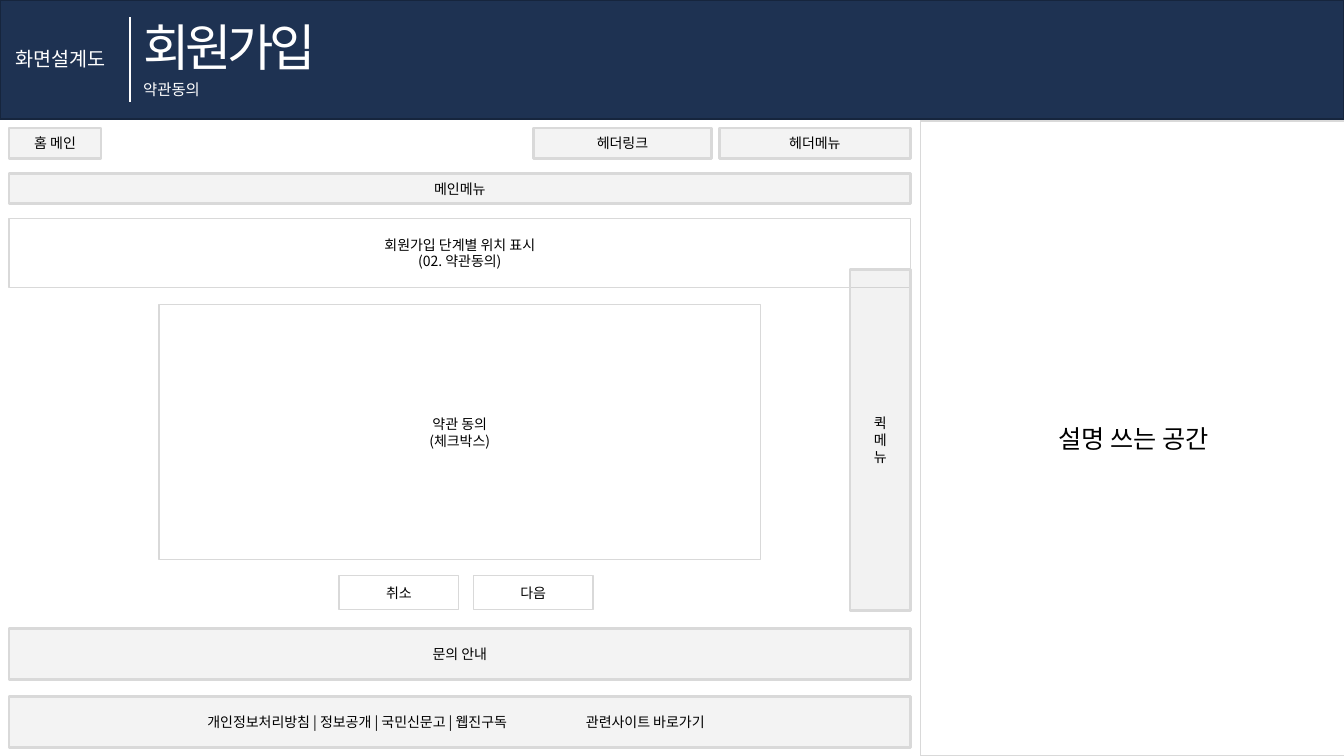
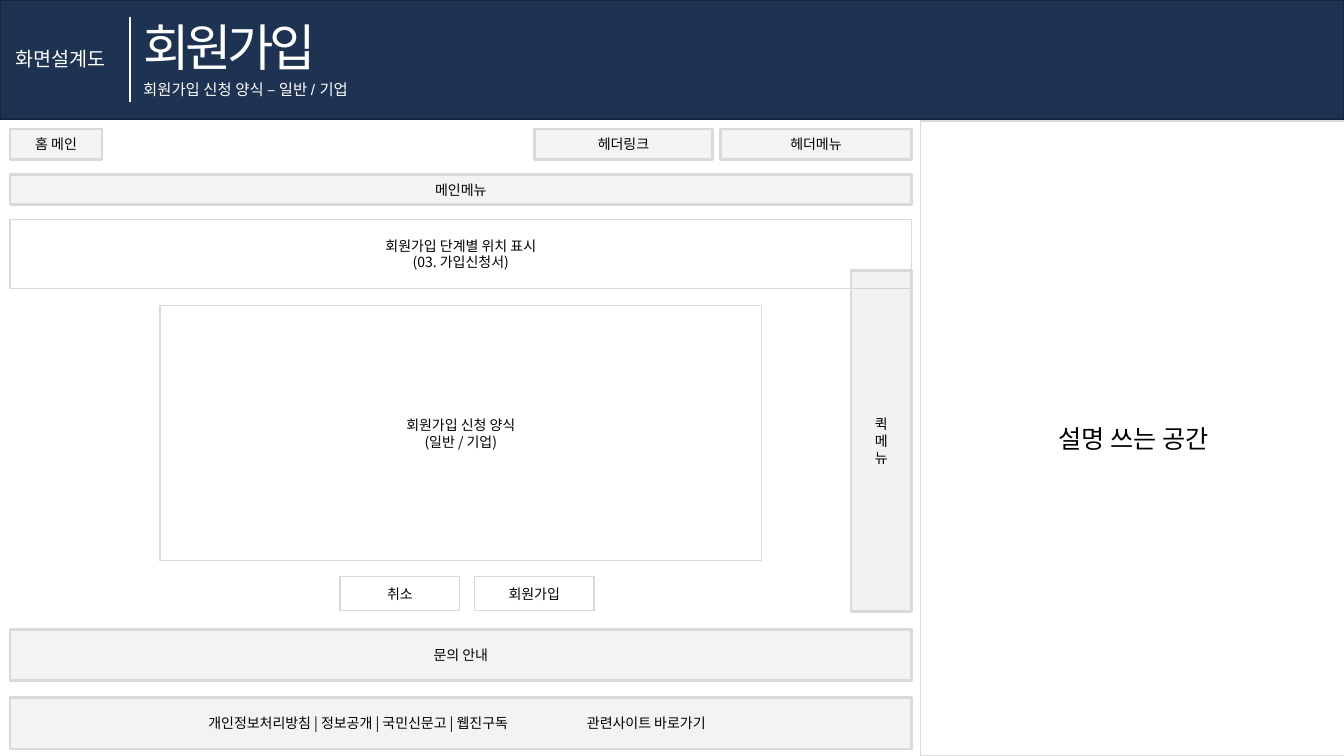
from dataclasses import dataclass

from lxml.etree import SubElement
from pptx import Presentation
from pptx.dml.color import RGBColor
from pptx.enum.shapes import MSO_CONNECTOR, MSO_SHAPE
from pptx.enum.text import MSO_ANCHOR, MSO_AUTO_SIZE, PP_ALIGN
from pptx.oxml.ns import qn
from pptx.util import Inches, Pt


@dataclass(frozen=True)
class Theme:
    """Colours, fonts and type sizes shared by every slide."""
    navy: str = "1E3252"
    navy_edge: str = "16253D"
    white: str = "FFFFFF"
    black: str = "000000"
    grey: str = "D9D9D9"
    dark_grey: str = "BFBFBF"
    font: str = "Noto Sans CJK KR"
    latin_font: str = "Arial"
    title_size: int = 36
    panel_size: int = 18
    label_size: int = 14
    subtitle_size: int = 11
    block_size: int = 10
    thin: float = 1
    rule: float = 1.5
    thick: float = 2


@dataclass(frozen=True)
class Box:
    """A rectangle in inches."""
    left: float
    top: float
    width: float
    height: float

    def portion(self, left, top, width, height):
        """Return a box given in percent of this one."""
        return Box(self.left + self.width * left / 100, self.top + self.height * top / 100,
                   self.width * width / 100, self.height * height / 100)

    def lengths(self):
        """Return left, top, width and height as slide lengths."""
        return [Inches(value) for value in (self.left, self.top, self.width, self.height)]


THEME = Theme()
SLIDE = Box(0, 0, 13.33, 7.5)
BAND = Box(0, 0, 13.33, 1.18)
PANEL = SLIDE.portion(68.5, 16, 31.65, 84)
WIREFRAME = Box(0.09, 1.27, 8.94, 6.15)


def format_text(shape, text, size, color, align, anchor, latin=THEME.font, spacing=None):
    """Fill a shape with text and format its paragraphs and runs."""
    frame = shape.text_frame
    frame.text = text
    frame.word_wrap = True
    frame.auto_size = MSO_AUTO_SIZE.NONE
    frame.vertical_anchor = anchor
    for paragraph in frame.paragraphs:
        paragraph.alignment = align
        paragraph.space_before = Pt(0)
        for run in paragraph.runs:
            run.font.size = Pt(size)
            run.font.name = latin
            run.font.color.rgb = RGBColor.from_string(color)
            properties = run.font._element
            SubElement(properties, qn("a:ea")).set("typeface", THEME.font)
            if spacing:
                properties.set("spc", str(spacing * 100))


def add_rectangle(shapes, box, fill, line, width, opacity=100):
    """Add a flat rectangle, see-through when the opacity is below 100."""
    shape = shapes.add_shape(MSO_SHAPE.RECTANGLE, *box.lengths())
    shape.shadow.inherit = False
    shape.fill.solid()
    shape.fill.fore_color.rgb = RGBColor.from_string(fill)
    if opacity < 100:
        color = next(shape.element.iter(qn("a:srgbClr")))
        SubElement(color, qn("a:alpha")).set("val", str(opacity * 1000))
    shape.line.color.rgb = RGBColor.from_string(line)
    shape.line.width = Pt(width)
    return shape


def add_block(shapes, box, text, fill=THEME.white, opacity=100, size=THEME.block_size):
    """Add a wireframe block with centred text; see-through blocks have thick edges."""
    width = THEME.thick if opacity < 100 else THEME.thin
    shape = add_rectangle(shapes, box, fill, THEME.grey, width, opacity)
    format_text(shape, text, size, THEME.black, PP_ALIGN.CENTER, MSO_ANCHOR.MIDDLE)
    return shape


def place(shape, box):
    """Move a placeholder into a box."""
    shape.left, shape.top, shape.width, shape.height = box.lengths()


def build_band(slide, box, title, subtitle):
    """Build the title band with its label, rule, title and subtitle."""
    band = add_rectangle(slide.shapes, box, THEME.navy, THEME.navy_edge, THEME.thin)
    slide.shapes.element.insert(2, band.element)
    left_top = (PP_ALIGN.LEFT, MSO_ANCHOR.TOP)

    heading = slide.shapes.title
    place(heading, box.portion(9.9, 9.3, 15.4, 60.2))
    format_text(heading, title, THEME.title_size, THEME.white, *left_top, spacing=-3)

    label = slide.shapes.add_textbox(*box.portion(0.4, 35.6, 8.85, 28.8).lengths())
    format_text(label, "화면설계도", THEME.label_size, THEME.white, *left_top)

    left, top, _, height = box.portion(9.68, 14.4, 0, 71.2).lengths()
    rule = slide.shapes.add_connector(MSO_CONNECTOR.STRAIGHT, left, top, left, top + height)
    rule.line.color.rgb = RGBColor.from_string(THEME.white)
    rule.line.width = Pt(THEME.rule)
    SubElement(rule.element.spPr, qn("a:effectLst"))

    body = slide.placeholders[1]
    place(body, box.portion(9.9, 62.7, 18.1, 24.6))
    format_text(body, subtitle, THEME.subtitle_size, THEME.white, *left_top, THEME.latin_font)
    properties = body.text_frame.paragraphs[0]._p.get_or_add_pPr()
    properties.set("marL", "0")
    properties.set("indent", "0")
    SubElement(properties, qn("a:buNone"))


def build_footer(shapes, box):
    """Build the footer block, whose last link is set off by a tab stop."""
    links = " | ".join(["개인정보처리방침", "정보공개", "국민신문고", "웹진구독"])
    footer = add_block(shapes, box, f"{links}\t관련사이트 바로가기", THEME.grey, 30)
    footer.text_frame.margin_left = Inches(box.width * 0.22)
    paragraph = footer.text_frame.paragraphs[0]
    paragraph.alignment = PP_ALIGN.LEFT
    stops = SubElement(paragraph._p.get_or_add_pPr(), qn("a:tabLst"))
    stop = SubElement(stops, qn("a:tab"))
    stop.set("pos", str(Inches(box.width * 0.42)))
    stop.set("algn", "l")


def build_wireframe(slide, box, step, content, next_label):
    """Build the page wireframe as one group."""
    shapes = slide.shapes.add_group_shape().shapes
    shaded = (THEME.grey, 30)
    add_block(shapes, box.portion(0, 7.3, 100, 4.9), "메인메뉴", *shaded)
    add_block(shapes, box.portion(0, 14.6, 100, 11.1), f"회원가입 단계별 위치 표시\n{step}")
    add_block(shapes, box.portion(16.65, 28.5, 66.7, 41.1), content)
    for left, width, text in [(0, 10.2, "홈 메인"), (78.8, 21.2, "헤더메뉴"), (58.2, 19.7, "헤더링크")]:
        add_block(shapes, box.portion(left, 0, width, 4.9), text, *shaded)
    add_block(shapes, box.portion(0, 80.7, 100, 8.3), "문의 안내", *shaded)
    build_footer(shapes, box.portion(0, 91.7, 100, 8.3))
    add_block(shapes, box.portion(93.3, 22.8, 6.7, 55.1), "퀵\n메\n뉴", THEME.dark_grey, 20)
    for column, text in enumerate(["취소", next_label]):
        add_block(shapes, box.portion(36.6 + 14.9 * column, 72.2, 13.3, 5.5), text)


def build_screen(presentation, subtitle, step, content, next_label, shift=0):
    """Build one screen design slide."""
    slide = presentation.slides.add_slide(presentation.slide_layouts[1])
    build_band(slide, BAND, "회원가입", subtitle)
    add_block(slide.shapes, PANEL, "설명 쓰는 공간", size=THEME.panel_size)
    box = Box(WIREFRAME.left + shift, WIREFRAME.top + shift, WIREFRAME.width, WIREFRAME.height)
    build_wireframe(slide, box, step, content, next_label)


def main():
    """Build and save the presentation."""
    presentation = Presentation()
    presentation.slide_width = Inches(SLIDE.width)
    presentation.slide_height = Inches(SLIDE.height)
    build_screen(presentation, "약관동의", "(02. 약관동의)", "약관 동의\n(체크박스)", "다음")
    build_screen(presentation, "회원가입 신청 양식 – 일반 / 기업", "(03. 가입신청서)",
                 "회원가입 신청 양식\n(일반 / 기업)", "회원가입", shift=0.01)
    presentation.save("out.pptx")


if __name__ == "__main__":
    main()
